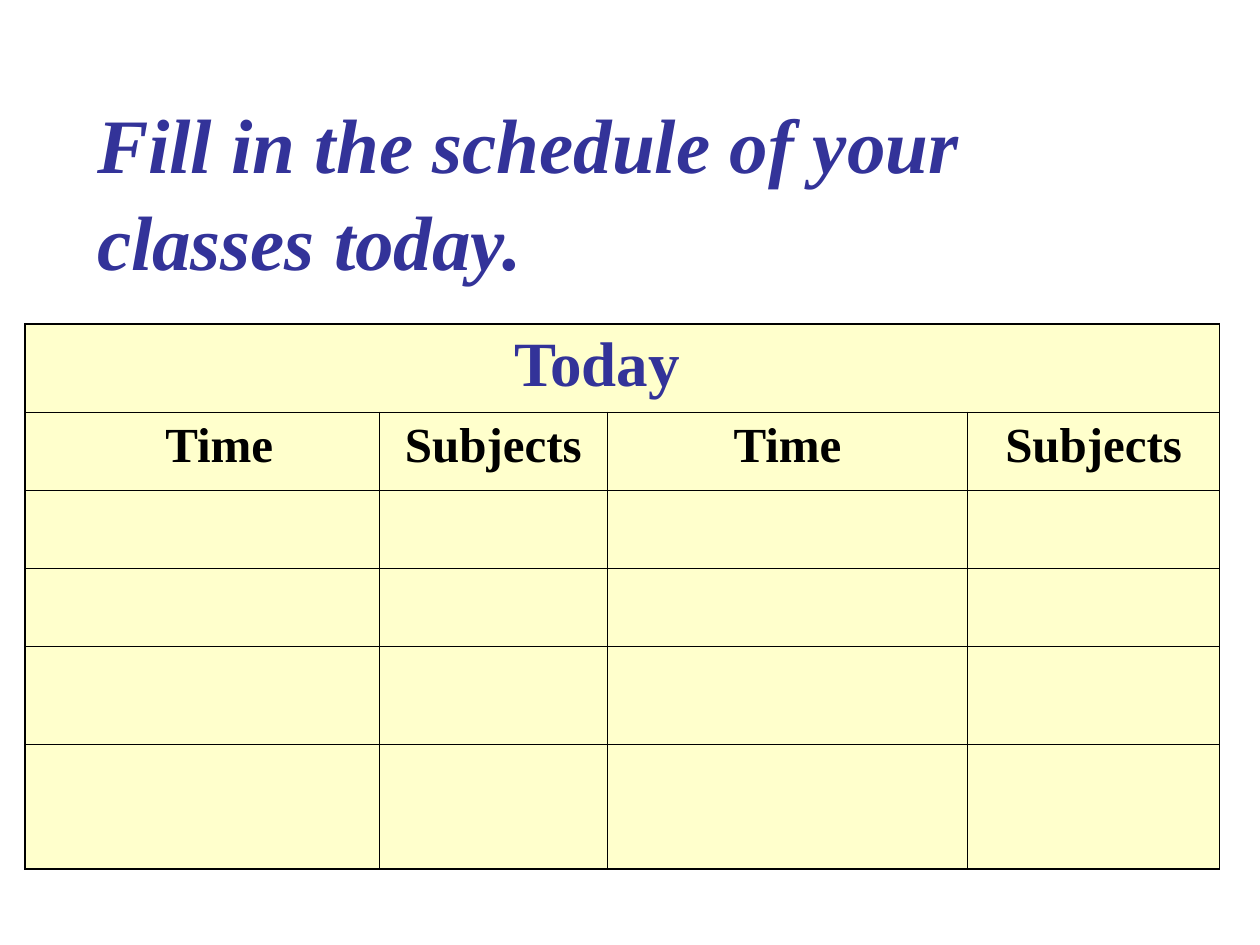
import dataclasses

import lxml.etree
import pptx
import pptx.dml.color
import pptx.enum.text
import pptx.oxml.ns
import pptx.util
from pptx.util import Inches


@dataclasses.dataclass(frozen=True)
class Theme:
    """Colours, font, type sizes and line widths of the slide."""
    font: str = "Times New Roman"
    accent: str = "333399"
    ink: str = "000000"
    cell_fill: str = "FFFFCC"
    title_size: int = 44
    day_size: int = 36
    heading_size: int = 28
    inner_line: float = 0.45
    outer_line: float = 1.08


THEME = Theme()
COLUMN_WIDTHS = (2.81, 1.81, 2.86, 2)
ROW_HEIGHTS = (0.7, 0.62, 0.62, 0.62, 0.78, 0.99)
HEADINGS = ("Time", "Subjects") * 2
HEADING_INDENTS = (0.27, 0, 0, 0)


def add_run(paragraph, text, size, color, italic=False):
    """Add one bold run to a paragraph."""
    run = paragraph.add_run()
    run.text = text
    run.font.name = THEME.font
    run.font.size = pptx.util.Pt(size)
    run.font.bold = True
    run.font.italic = italic
    run.font.color.rgb = pptx.dml.color.RGBColor.from_string(color)


def fill_title(slide, left, top, width, height):
    """Place and fill the title placeholder."""
    title = slide.shapes.title
    title.left, title.top, title.width, title.height = left, top, width, height
    frame = title.text_frame
    frame.word_wrap = True
    frame.auto_size = pptx.enum.text.MSO_AUTO_SIZE.NONE
    frame.vertical_anchor = pptx.enum.text.MSO_ANCHOR.TOP
    paragraph = frame.paragraphs[0]
    paragraph.alignment = pptx.enum.text.PP_ALIGN.LEFT
    paragraph.line_spacing = 1.05
    add_run(paragraph, "Fill in the schedule of your classes today.",
            THEME.title_size, THEME.accent, italic=True)


def style_cell(cell, outer_sides):
    """Draw the cell's borders, heavier on outer sides, and fill it."""
    properties = cell._tc.get_or_add_tcPr()
    for side in "LRTB":
        width = THEME.outer_line if side in outer_sides else THEME.inner_line
        line = lxml.etree.SubElement(properties, pptx.oxml.ns.qn(f"a:ln{side}"),
                                     w=str(int(pptx.util.Pt(width))))
        solid = lxml.etree.SubElement(line, pptx.oxml.ns.qn("a:solidFill"))
        lxml.etree.SubElement(solid, pptx.oxml.ns.qn("a:srgbClr"), val=THEME.ink)
    cell.fill.solid()
    cell.fill.fore_color.rgb = pptx.dml.color.RGBColor.from_string(THEME.cell_fill)


def write_cell(cell, text, size, color, alignment, indent):
    """Write one aligned, indented line in a cell."""
    paragraph = cell.text_frame.paragraphs[0]
    paragraph.alignment = alignment
    if indent:
        paragraph._p.get_or_add_pPr().set("marL", str(int(Inches(indent))))
    add_run(paragraph, text, size, color)


def add_schedule(slide, left, top, width, height):
    """Add the schedule table with its day row and column headings."""
    last_row, last_column = len(ROW_HEIGHTS) - 1, len(COLUMN_WIDTHS) - 1
    table = slide.shapes.add_table(last_row + 1, last_column + 1,
                                   left, top, width, height).table
    table.first_row = table.horz_banding = False
    for column, column_width in zip(table.columns, COLUMN_WIDTHS):
        column.width = Inches(column_width)
    for row, row_height in zip(table.rows, ROW_HEIGHTS):
        row.height = Inches(row_height)
    table.cell(0, 0).merge(table.cell(0, last_column))
    for row_index in range(last_row + 1):
        for column_index in range(last_column + 1):
            edges = {"L": column_index == 0,
                     "R": column_index == last_column or row_index == 0,
                     "T": row_index == 0, "B": row_index == last_row}
            style_cell(table.cell(row_index, column_index),
                       [side for side, outer in edges.items() if outer])
    write_cell(table.cell(0, 0), "Today", THEME.day_size, THEME.accent,
               pptx.enum.text.PP_ALIGN.LEFT, 3.78)
    for index, (heading, indent) in enumerate(zip(HEADINGS, HEADING_INDENTS)):
        write_cell(table.cell(1, index), heading, THEME.heading_size, THEME.ink,
                   pptx.enum.text.PP_ALIGN.CENTER, indent)


def main():
    """Build and save the presentation."""
    presentation = pptx.Presentation()
    presentation.slide_width = Inches(10)
    presentation.slide_height = Inches(7.5)
    slide = presentation.slides.add_slide(presentation.slide_layouts[5])
    fill_title(slide, Inches(0.67), Inches(0.68), Inches(8.83), Inches(1.25))
    add_schedule(slide, Inches(0.2), Inches(2.57),
                 Inches(sum(COLUMN_WIDTHS)), Inches(sum(ROW_HEIGHTS)))
    presentation.save("out.pptx")


if __name__ == "__main__":
    main()
